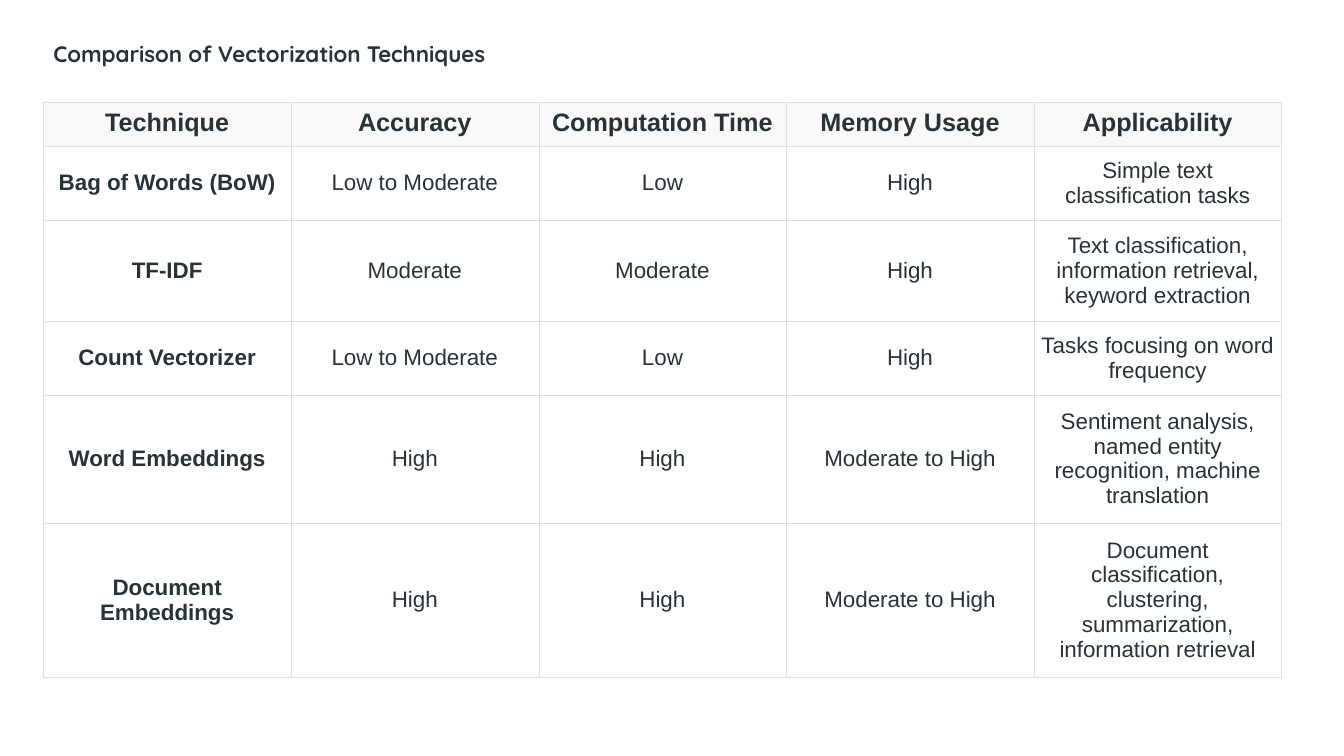
from lxml.etree import SubElement
from pptx import Presentation
from pptx.dml.color import RGBColor
from pptx.enum.text import MSO_ANCHOR, MSO_AUTO_SIZE, PP_ALIGN
from pptx.oxml.ns import qn
from pptx.util import Inches, Pt

INK = "273239"
HEADER_FILL = "F9F9F9"
BORDER = "DFDFDF"
LEFT, TABLE_TOP, TABLE_WIDTH = 0.43, 1.01, 12.28
ROW_HEIGHTS = [0.44, 0.73, 0.99, 0.73, 1.27, 1.53]

TECHNIQUES = [
    ["Technique", "Accuracy", "Computation Time", "Memory Usage", "Applicability"],
    ["Bag of Words (BoW)", "Low to Moderate", "Low", "High",
     "Simple text classification tasks"],
    ["TF-IDF", "Moderate", "Moderate", "High",
     "Text classification, information retrieval, keyword extraction"],
    ["Count Vectorizer", "Low to Moderate", "Low", "High",
     "Tasks focusing on word frequency"],
    ["Word Embeddings", "High", "High", "Moderate to High",
     "Sentiment analysis, named entity recognition, machine translation"],
    ["Document Embeddings", "High", "High", "Moderate to High",
     "Document classification, clustering, summarization, information retrieval"],
]


def color(value):
    return RGBColor.from_string(value)


def add_text(frame, text, font_name, size, bold, alignment):
    paragraph = frame.paragraphs[0]
    paragraph.alignment = alignment
    run = paragraph.add_run()
    run.text = text
    run.font.name = font_name
    run.font.size = Pt(size)
    run.font.bold = bold
    run.font.color.rgb = color(INK)


def set_title(slide, text):
    title = slide.shapes.title
    title.left, title.top = Inches(LEFT), Inches(0.35)
    title.width, title.height = Inches(5.56), Inches(0.37)
    frame = title.text_frame
    frame.word_wrap = True
    frame.auto_size = MSO_AUTO_SIZE.SHAPE_TO_FIT_TEXT
    frame.vertical_anchor = MSO_ANCHOR.TOP
    add_text(frame, text, "Quicksand", 16, True, PP_ALIGN.LEFT)


def set_borders(cell):
    properties = cell._tc.get_or_add_tcPr()
    for side in ("a:lnL", "a:lnR", "a:lnT", "a:lnB"):
        line = SubElement(properties, qn(side), w=str(Pt(0.15)))
        fill = SubElement(line, qn("a:solidFill"))
        SubElement(fill, qn("a:srgbClr"), val=BORDER)


def format_cell(cell, text, is_header, is_first_column):
    set_borders(cell)
    cell.margin_left = cell.margin_right = Inches(
        0.04 if is_header and is_first_column else 0.07)
    cell.margin_top = cell.margin_bottom = Inches(0.07 if is_header else 0.1)
    if is_header:
        cell.fill.solid()
        cell.fill.fore_color.rgb = color(HEADER_FILL)
    else:
        cell.fill.background()
    cell.vertical_anchor = MSO_ANCHOR.TOP if is_header else MSO_ANCHOR.MIDDLE
    add_text(cell.text_frame, text, "Arial", 18 if is_header else 16,
             is_header or is_first_column, PP_ALIGN.CENTER)


def add_comparison_table(slide, rows):
    column_count = len(rows[0])
    table = slide.shapes.add_table(
        len(rows), column_count, Inches(LEFT), Inches(TABLE_TOP),
        Inches(TABLE_WIDTH), Inches(sum(ROW_HEIGHTS))).table
    table.horz_banding = False
    for column in table.columns:
        column.width = Inches(TABLE_WIDTH / column_count)
    for row_index, texts in enumerate(rows):
        table.rows[row_index].height = Inches(ROW_HEIGHTS[row_index])
        for column_index, text in enumerate(texts):
            format_cell(table.cell(row_index, column_index), text,
                        row_index == 0, column_index == 0)


def main():
    presentation = Presentation()
    presentation.slide_width = Inches(13.33)
    presentation.slide_height = Inches(7.5)
    slide = presentation.slides.add_slide(presentation.slide_layouts[5])
    set_title(slide, "Comparison of Vectorization Techniques")
    add_comparison_table(slide, TECHNIQUES)
    presentation.save("out.pptx")


if __name__ == "__main__":
    main()
